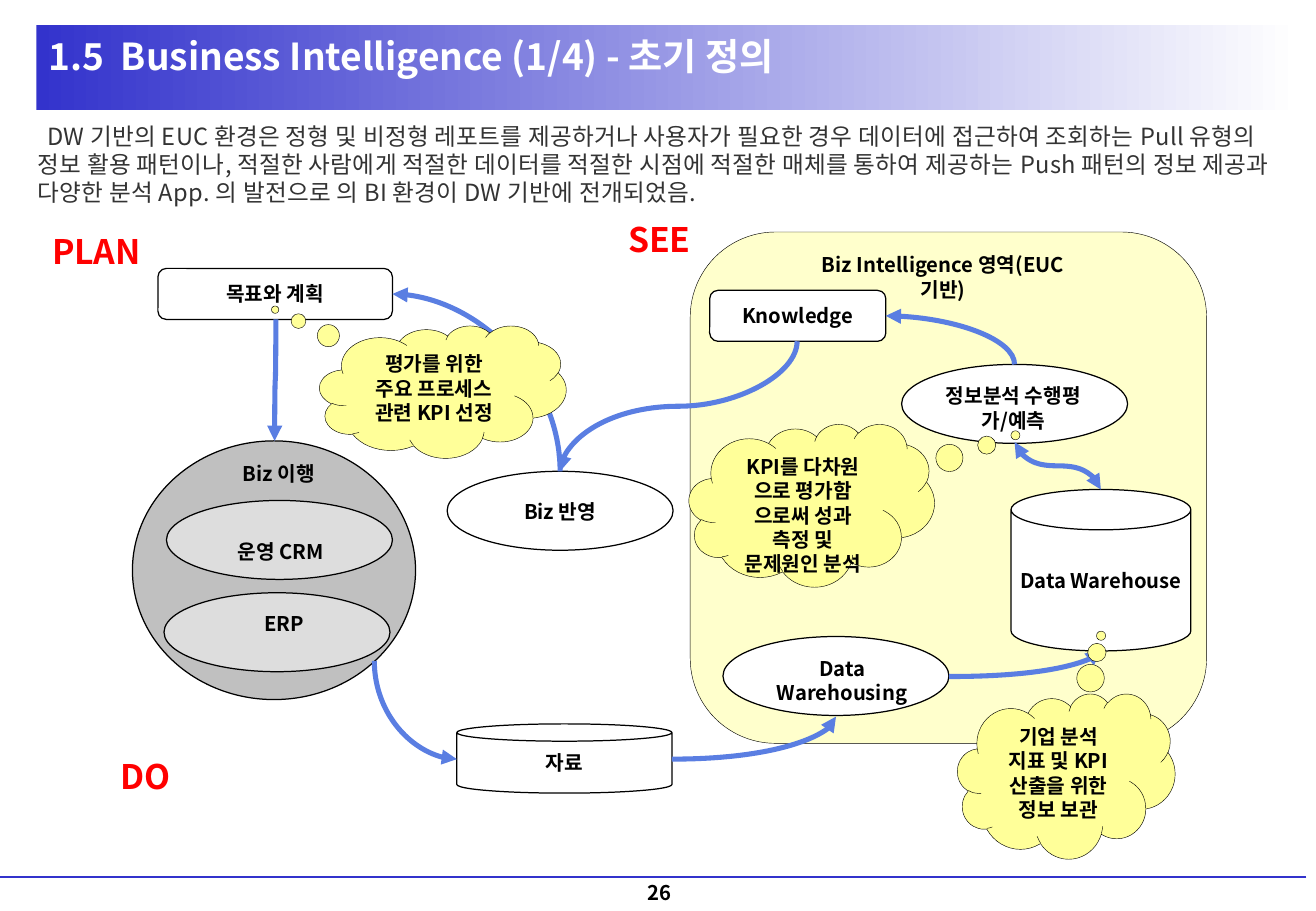
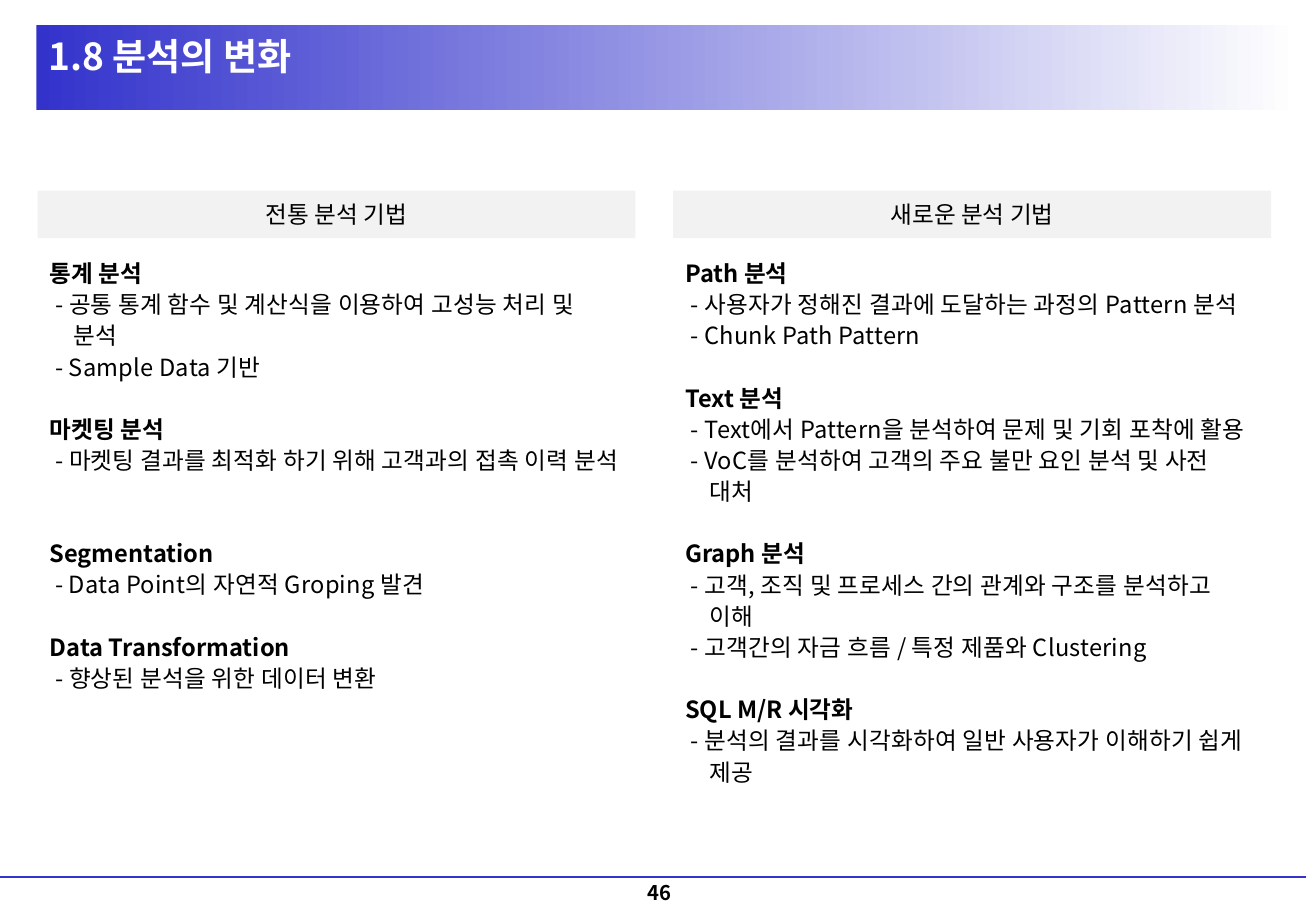
from typing import NamedTuple, Optional

from lxml.etree import SubElement
from pptx import Presentation
from pptx.dml.color import RGBColor as Color
from pptx.enum.shapes import MSO_CONNECTOR as Link, MSO_SHAPE as Preset
from pptx.enum.text import MSO_ANCHOR as Anchor, MSO_AUTO_SIZE as AutoSize, PP_ALIGN as Align
from pptx.oxml.ns import qn
from pptx.util import Inches, Pt

class Theme(NamedTuple):
    font: str = "Noto Sans CJK KR"
    brand: str = "3333CC"
    white: str = "FFFFFF"
    black: str = "000000"
    body: str = "333333"
    phase: str = "FF0000"
    arrow: str = "5A7EE2"
    area: str = "FFFFCC"
    cloud: str = "FFFF99"
    dark_grey: str = "C0C0C0"
    light_grey: str = "DDDDDD"
    header: str = "F2F2F2"
    title_size: float = 22
    phase_size: float = 20
    body_size: float = 14
    small_size: float = 12
    blank_line: float = 18.4

THEME = Theme()

class Style(NamedTuple):
    size: float = THEME.small_size
    color: str = THEME.black
    bold: bool = True
    align: Align = Align.CENTER
    anchor: Anchor = Anchor.TOP
    inset: tuple = (0.1, 0.05)
    wrap: bool = True
    grow: bool = False
    spacing: int = 0         # letter spacing in hundredths of a point

# Boxes are left, top, width, height in inches
class Node(NamedTuple):
    preset: Preset
    box: tuple
    fill: str = THEME.white
    text: str = ""
    line: Optional[float] = 0.75
    style: Style = Style(anchor=Anchor.MIDDLE, inset=(0.2, 0.05), wrap=False)
    tail: tuple = ()

class Label(NamedTuple):
    box: tuple
    text: str
    style: Style = Style(inset=(0.2, 0.05), grow=True)

class Arrow(NamedTuple):
    start: tuple
    end: tuple
    vertical: bool = False   # leaves its start point vertically
    elbow: bool = True       # a single bend, otherwise an S curve
    both: bool = False

class Section(NamedTuple):
    heading: str
    items: tuple
    blank_lines: int = 1

# Text
def format_para(para, style: Style) -> None:
    para.alignment = style.align
    for span in para.runs:
        font = span.font
        font.name, font.size, font.bold = THEME.font, Pt(style.size), style.bold
        font.color.rgb = Color.from_string(style.color)
        SubElement(font._element, qn("a:ea"), typeface=THEME.font)
        if style.spacing:
            font._element.set("spc", str(style.spacing))

def set_indent(para, margin: float, first: float) -> None:
    properties = para._p.get_or_add_pPr()
    properties.set("marL", str(Inches(margin)))
    properties.set("indent", str(Inches(first)))

def setup_frame(frame, style: Style) -> None:
    frame.word_wrap = style.wrap
    frame.vertical_anchor = style.anchor
    frame.margin_left = frame.margin_right = Inches(style.inset[0])
    frame.margin_top = frame.margin_bottom = Inches(style.inset[1])
    frame.auto_size = AutoSize.SHAPE_TO_FIT_TEXT if style.grow else AutoSize.NONE

def write(frame, text: str, style: Style) -> None:
    setup_frame(frame, style)
    frame.text = text
    for para in frame.paragraphs:
        format_para(para, style)

def add_label(page, label: Label):
    frame = page.shapes.add_textbox(*map(Inches, label.box)).text_frame
    write(frame, label.text, label.style)
    return frame

# Shapes and lines
def add_node(page, node: Node):
    shape = page.shapes.add_shape(node.preset, *map(Inches, node.box))
    shape.shadow.inherit = False
    shape.fill.solid()
    shape.fill.fore_color.rgb = Color.from_string(node.fill)
    if node.line is None:
        shape.line.fill.background()
    else:
        shape.line.color.rgb = Color.from_string(THEME.black)
        shape.line.width = Pt(node.line)
    for index, value in enumerate(node.tail):
        shape.adjustments[index] = value
    if node.text:
        write(shape.text_frame, node.text, node.style)
    return shape

def add_line(page, kind: Link, start: tuple, end: tuple, color: str, width: float):
    line = page.shapes.add_connector(kind, *map(Inches, (*start, *end)))
    line.line.color.rgb = Color.from_string(color)
    line.line.width = Pt(width)
    SubElement(line._element.spPr, qn("a:effectLst"))
    return line

def add_arrow(page, arrow: Arrow) -> None:
    start, end, turn = arrow.start, arrow.end, 0
    if arrow.vertical:
        # Lay the curve flat around its centre, then turn it a quarter
        wide, high = end[0] - start[0], end[1] - start[1]
        middle = (start[0] + wide / 2, start[1] + high / 2)
        turn = -1 if wide > 0 else 1
        half = (turn * high / 2, -turn * wide / 2)
        start = (middle[0] - half[0], middle[1] - half[1])
        end = (middle[0] + half[0], middle[1] + half[1])
    curve = add_line(page, Link.CURVE, start, end, THEME.arrow, 3)
    properties = curve._element.spPr
    if turn:
        properties.find(qn("a:xfrm")).set("rot", str(turn * 90 % 360 * 60000))
    if arrow.elbow:
        properties.find(qn("a:prstGeom")).set("prst", "curvedConnector2")
    outline = properties.find(qn("a:ln"))
    for end_name in ("headEnd", "tailEnd") if arrow.both else ("tailEnd",):
        SubElement(outline, qn("a:" + end_name), type="triangle")

# Title band, footer rule and page number
def add_page(deck, title: str, number: int):
    page = deck.slides.add_slide(deck.slide_layouts[6])
    band = add_node(page, Node(Preset.RECTANGLE, (0.3, 0.21, 10.4, 0.7), line=None))
    band.fill.gradient()
    band.fill.gradient_angle = 0
    for stop, color in zip(band.fill.gradient_stops, (THEME.brand, THEME.white)):
        stop.color.rgb = Color.from_string(color)
    add_label(page, Label((4.3, 7.21, 2.26, 0.29), str(number), Style(anchor=Anchor.BOTTOM)))
    add_line(page, Link.STRAIGHT, (10.75, 7.22), (0, 7.22), THEME.brand, 1.5)
    add_label(page, Label((0.3, 0.22, 8.04, 0.48), title, Style(
        THEME.title_size, THEME.white, align=Align.LEFT, anchor=Anchor.MIDDLE)))
    return page

def oval(left: float, top: float, fill: str = THEME.white) -> Node:
    return Node(Preset.OVAL, (left, top, 1.86, 0.65), fill)

def cloud(box: tuple, text: str, tail: tuple) -> Node:
    return Node(Preset.CLOUD_CALLOUT, box, THEME.cloud, text, 0.25, Style(), tail)

def phase(left: float, top: float, text: str) -> Label:
    return Label((left, top, 1.54, 0.44), text, Style(
        THEME.phase_size, THEME.phase, align=Align.LEFT, grow=True))

# Business intelligence cycle
INTRO = ("DW 기반의 EUC 환경은 정형 및 비정형 레포트를 제공하거나 사용자가 필요한 경우 데이터에 접근하여 "
         "조회하는 Pull 유형의 정보 활용 패턴이나, 적절한 사람에게 적절한 데이터를 적절한 시점에 적절한 "
         "매체를 통하여 제공하는 Push 패턴의 정보 제공과 다양한 분석 App. 의 발전으로 의 BI 환경이 "
         "DW 기반에 전개되었음.")
NODES = (
    Node(Preset.ROUNDED_RECTANGLE, (5.68, 1.91, 4.25, 4.21), THEME.area, line=0.25),
    Node(Preset.CAN, (3.76, 5.96, 1.77, 0.57), text="자료"),
    oval(5.95, 5.24),
    Node(Preset.CAN, (8.32, 4.03, 1.48, 1.33), text="Data Warehouse"),
    oval(7.42, 3),
    Node(Preset.FLOWCHART_ALTERNATE_PROCESS, (5.84, 2.39, 1.45, 0.42), text="Knowledge"),
    oval(3.68, 3.88),
    Node(Preset.FLOWCHART_ALTERNATE_PROCESS, (1.3, 2.21, 1.93, 0.42), text="목표와 계획"),
    Node(Preset.OVAL, (1.09, 3.63, 2.33, 2.13), THEME.dark_grey),
    oval(1.37, 4.12, THEME.light_grey),
    oval(1.35, 4.88, THEME.light_grey),
)
LABELS = (
    Label((6.09, 5.35, 1.68, 0.43), "Data Warehousing"),
    Label((7.47, 3.11, 1.74, 0.26), "정보분석 수행평가/예측"),
    Label((3.84, 4.06, 1.54, 0.26), "Biz 반영"),
    Label((1.54, 4.39, 1.54, 0.26), "운영 CRM"),
    Label((1.57, 4.98, 1.54, 0.26), "ERP"),
    Label((1.62, 3.75, 1.35, 0.26), "Biz 이행"),
    Label((6.53, 2.03, 2.46, 0.43), "Biz Intelligence 영역(EUC 기반)"),
)
ARROWS = (
    Arrow((2.27, 2.63), (2.26, 3.63), vertical=True, elbow=False),
    Arrow((3.08, 5.44), (3.76, 6.25), vertical=True),
    Arrow((5.53, 6.25), (6.88, 5.9)),
    Arrow((7.81, 5.57), (9.06, 5.35)),
    Arrow((6.56, 2.81), (4.61, 3.88), vertical=True, elbow=False),
    Arrow((8.35, 3), (7.29, 2.6), vertical=True),
    Arrow((9.06, 4.03), (8.35, 3.64), vertical=True, elbow=False, both=True),
    Arrow((4.61, 3.88), (3.23, 2.42), vertical=True),
)
CLOUDS = (
    cloud((2.63, 2.68, 2.03, 1.09), "평가를 위한 주요 프로세스 관련 KPI 선정", (-0.68, -0.62)),
    cloud((5.67, 3.49, 2.02, 1.34), "KPI를 다차원 으로 평가함 으로써 성과 측정 및 문제원인 분석",
          (0.83, -0.43)),
    cloud((7.88, 5.71, 1.79, 1.36), "기업 분석 지표 및 KPI 산출을 위한 정보 보관", (0.16, -0.85)),
)
PHASES = (phase(0.33, 1.85, "PLAN"), phase(0.89, 6.17, "DO"), phase(5.07, 1.75, "SEE"))

def build_cycle(deck) -> None:
    page = add_page(deck, "1.5  Business Intelligence (1/4) - 초기 정의", 26)
    intro = add_label(page, Label((0.31, 1, 10.28, 1.03), INTRO, Style(
        THEME.body_size, THEME.body, bold=False, align=Align.LEFT, inset=(0, 0), spacing=13)))
    set_indent(intro.paragraphs[0], 0, 0.08)
    for draw, parts in ((add_node, NODES), (add_label, LABELS), (add_arrow, ARROWS),
                        (add_node, CLOUDS), (add_label, PHASES)):
        for part in parts:
            draw(page, part)

# Two columns of analysis techniques
COLUMNS = (
    ("전통 분석 기법", (
        Section("통계 분석", ("공통 통계 함수 및 계산식을 이용하여 고성능 처리 및 분석",
                          "Sample Data 기반"), 0),
        Section("마켓팅 분석", ("마켓팅 결과를 최적화 하기 위해 고객과의 접촉 이력 분석",)),
        Section("Segmentation", ("Data Point의 자연적 Groping 발견",), 2),
        Section("Data Transformation", ("향상된 분석을 위한 데이터 변환",)),
    )),
    ("새로운 분석 기법", (
        Section("Path 분석", ("사용자가 정해진 결과에 도달하는 과정의 Pattern 분석",
                            "Chunk Path Pattern"), 0),
        Section("Text 분석", ("Text에서 Pattern을 분석하여 문제 및 기회 포착에 활용",
                            "VoC를 분석하여 고객의 주요 불만 요인 분석 및 사전 대처")),
        Section("Graph 분석", ("고객, 조직 및 프로세스 간의 관계와 구조를 분석하고 이해",
                             "고객간의 자금 흐름 / 특정 제품와 Clustering")),
        Section("SQL M/R 시각화", ("분석의 결과를 시각화하여 일반 사용자가 이해하기 쉽게 제공",)),
    )),
)

def add_sections(page, box: tuple, sections: tuple) -> None:
    heading = Style(THEME.body_size, align=Align.LEFT, grow=True)
    item = Style(THEME.body_size, bold=False, align=Align.LEFT, spacing=10)
    rows = [row for section in sections for row in (
        (section.heading, heading, section.blank_lines),
        *((f" - {text}", item, 0) for text in section.items))]
    frame = page.shapes.add_textbox(*map(Inches, box)).text_frame
    setup_frame(frame, heading)
    for index, (text, style, blank_lines) in enumerate(rows):
        para = frame.add_paragraph() if index else frame.paragraphs[0]
        para.text = text
        para.line_spacing = 1.1
        para.space_before = Pt(blank_lines * THEME.blank_line)
        set_indent(para, 0.2, -0.2)
        format_para(para, style)

def build_techniques(deck) -> None:
    page = add_page(deck, "1.8 분석의 변화", 46)
    header = Style(THEME.body_size, bold=False, anchor=Anchor.MIDDLE, inset=(0, 0))
    for index, (name, sections) in enumerate(COLUMNS):
        left = 0.31 + index * 5.23
        add_node(page, Node(Preset.RECTANGLE, (left, 1.57, 4.92, 0.39), THEME.header,
                            name, None, header))
        add_sections(page, (left, 2.06, 4.89, 4.5), sections)

deck = Presentation()
deck.slide_width, deck.slide_height = Inches(10.83), Inches(7.5)
build_cycle(deck)
build_techniques(deck)
deck.save("out.pptx")
